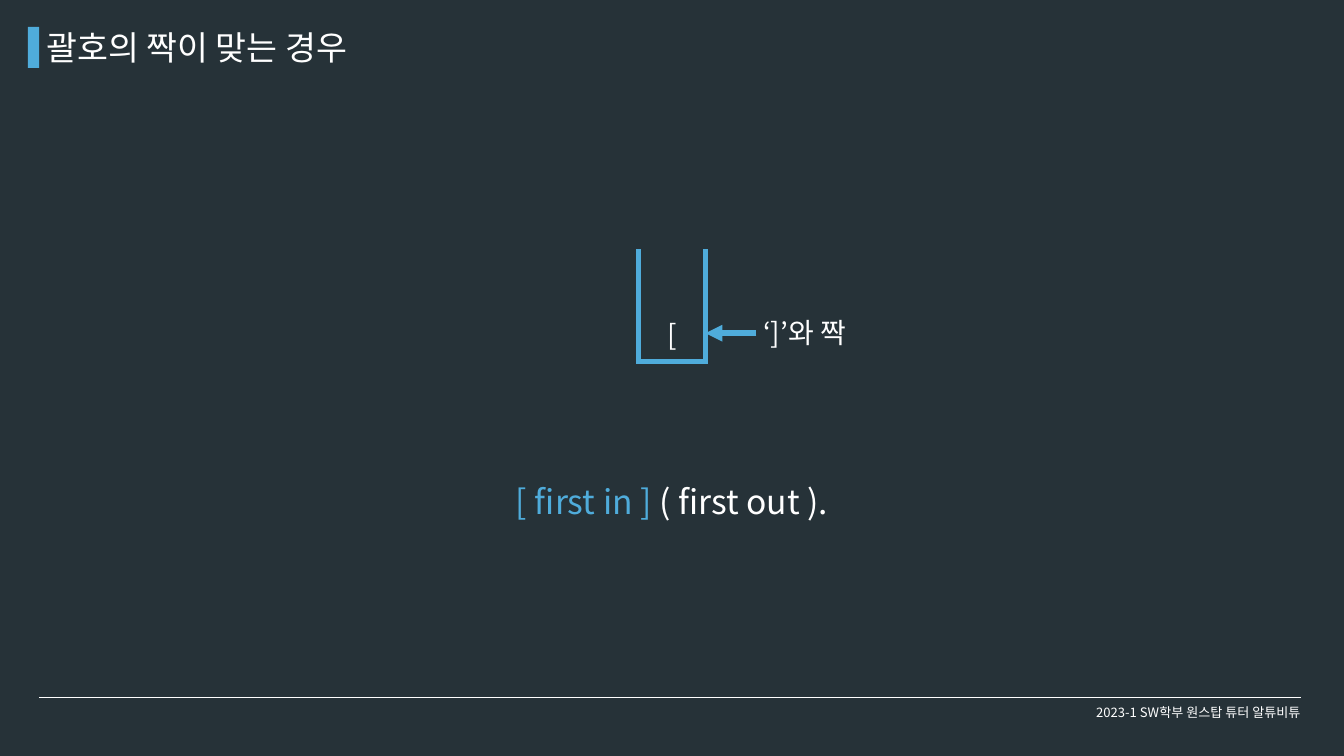
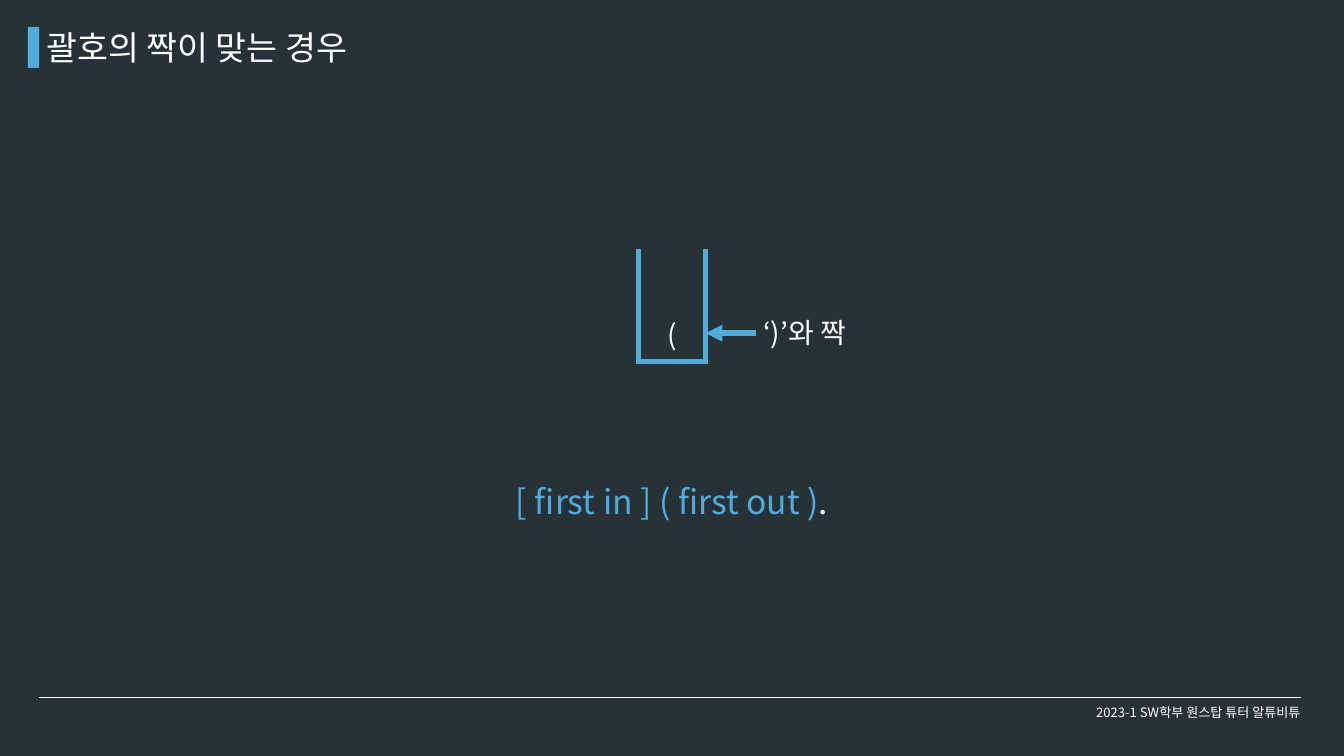
import pptx
import pptx.util
import pptx.dml.color
import pptx.enum.shapes
import pptx.enum.text
import pptx.oxml.ns
from lxml import etree

Pt = pptx.util.Pt
ALIGN = pptx.enum.text.PP_ALIGN
ANCHOR = pptx.enum.text.MSO_ANCHOR
GROW = pptx.enum.text.MSO_AUTO_SIZE.SHAPE_TO_FIT_TEXT
qn = pptx.oxml.ns.qn

FONT = "Noto Sans CJK KR"
DARK, BLUE, WHITE = "263238", "4FACDB", "FFFFFF"
NO_STYLE = "{2D5ABB26-0587-4C30-8999-92F81FD0307C}"
TITLE = "괄호의 짝이 맞는 경우"
FOOTER = "2023-1 SW학부 원스탑 튜터 알튜비튜"


def rgb(color):
    return pptx.dml.color.RGBColor.from_string(color)


def write(tf, runs, size, align=ALIGN.LEFT, anchor=ANCHOR.TOP):
    """Fill a text frame with one paragraph of (text, colour) runs."""
    tf.word_wrap = True
    tf.vertical_anchor = anchor
    p = tf.paragraphs[0]
    p.alignment = align
    p.font.size = Pt(size)
    p.font.color.rgb = rgb(WHITE)
    p.font.name = FONT
    # Hangul takes the East Asian typeface
    etree.SubElement(p.font._element, qn("a:ea"), typeface=FONT)
    for text, color in runs:
        r = p.add_run()
        r.text = text
        if color != WHITE:
            r.font.color.rgb = rgb(color)


def add_text(s, box, runs, size, **style):
    tb = s.shapes.add_textbox(*map(Pt, box))
    write(tb.text_frame, runs, size, **style)
    return tb


def add_line(s, x1, y1, x2, y2, color, width):
    line = s.shapes.add_connector(
        pptx.enum.shapes.MSO_CONNECTOR.STRAIGHT, Pt(x1), Pt(y1), Pt(x2), Pt(y2))
    line.line.color.rgb = rgb(color)
    line.line.width = Pt(width)
    etree.SubElement(line._element.spPr, qn("a:effectLst"))
    return line


def set_borders(cell, sides, color, width):
    """Draw the named sides of a cell and clear the others."""
    tcPr = cell._tc.get_or_add_tcPr()
    for side in "LRTB":
        ln = etree.SubElement(tcPr, qn("a:ln" + side), w=str(Pt(width)))
        if side in sides:
            fill = etree.SubElement(ln, qn("a:solidFill"))
            etree.SubElement(fill, qn("a:srgbClr"), val=color)
        else:
            etree.SubElement(ln, qn("a:noFill"))


# Title with its bar
def add_title(s, x, y):
    bar = s.shapes.add_shape(pptx.enum.shapes.MSO_SHAPE.RECTANGLE,
                             Pt(x), Pt(y), Pt(12), Pt(44))
    bar.shadow.inherit = False
    bar.fill.solid()
    bar.fill.fore_color.rgb = rgb(BLUE)
    bar.line.fill.background()
    title = s.shapes.title
    title.left, title.top = Pt(x + 12.5), Pt(y - 3.6)
    title.width, title.height = Pt(684), Pt(51)
    write(title.text_frame, [(TITLE, WHITE)], 36)
    title.text_frame.auto_size = GROW


# Footer under its rule
def add_footer(s, x, y, w):
    add_line(s, x, y, x + w, y, WHITE, 0.75)
    add_text(s, (x + w - 254, y - 5, 288, 41), [(FOOTER, WHITE)], 14,
             align=ALIGN.CENTER, anchor=ANCHOR.MIDDLE)


# Open-topped stack with an arrow from the matching bracket
def add_stack(s, x, y, opening, closing):
    w, row_h = 72, 60
    frame = s.shapes.add_table(2, 1, Pt(x), Pt(y), Pt(w), Pt(2 * row_h))
    table = frame.table
    table.first_row = table.horz_banding = False
    table._tbl.tblPr.find(qn("a:tableStyleId")).text = NO_STYLE
    for i, sides in enumerate(("LR", "LRB")):
        cell = table.cell(i, 0)
        set_borders(cell, sides, BLUE, 6)
        cell.fill.background()
    write(cell.text_frame, [(opening, WHITE)], 30, align=ALIGN.CENTER)
    cell.vertical_anchor = ANCHOR.MIDDLE

    middle = y + 1.5 * row_h
    label = add_text(s, (x + w + 54.5, middle - 22, 126, 44),
                     [(f"‘{closing}’와 짝", WHITE)], 30)
    label.text_frame.auto_size = GROW
    arrow = add_line(s, x + w + 54.5, middle, x + w, middle, BLUE, 6)
    arrow.begin_connect(label, 1)
    etree.SubElement(arrow.line._get_or_add_ln(), qn("a:tailEnd"), type="triangle")


def add_stack_slide(prs, opening, closing, sentence):
    s = prs.slides.add_slide(prs.slide_layouts[5])
    add_footer(s, 42, 747.5, 1352)
    add_title(s, 30, 28.8)
    line = add_text(s, (378, 512, 684, 51), sentence, 36, align=ALIGN.CENTER)
    line.text_frame.auto_size = GROW
    add_stack(s, 684, 267, opening, closing)


def main():
    prs = pptx.Presentation()
    prs.slide_width, prs.slide_height = Pt(1440), Pt(810)
    fill = prs.slide_master.background.fill
    fill.solid()
    fill.fore_color.rgb = rgb(DARK)

    add_stack_slide(prs, "[", "]",
                    [("[ first in ] ", BLUE), ("( first out ).", WHITE)])
    add_stack_slide(prs, "(", ")",
                    [("[ first in ] ( first out )", BLUE), (".", WHITE)])
    prs.save("out.pptx")


if __name__ == "__main__":
    main()
